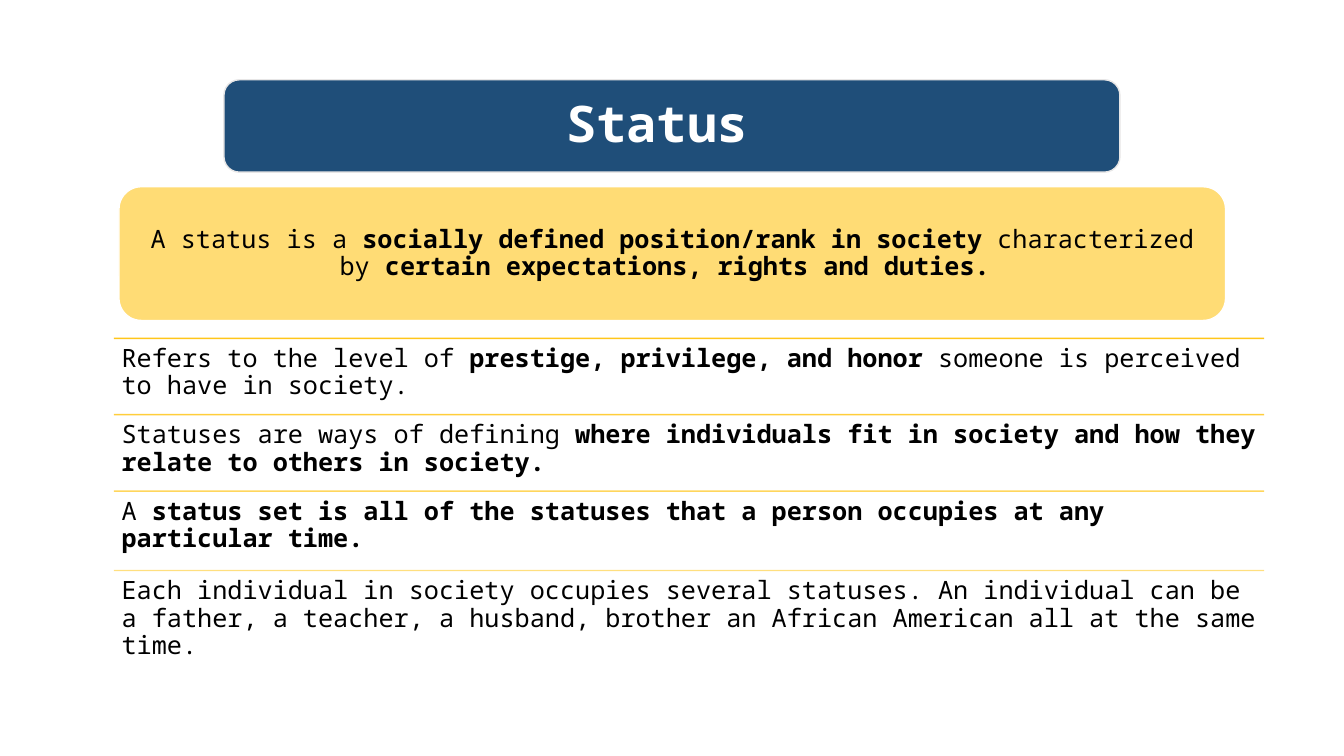
from lxml.etree import SubElement
from pptx import Presentation
from pptx.dml.color import RGBColor
from pptx.enum.shapes import MSO_CONNECTOR, MSO_SHAPE
from pptx.enum.text import MSO_ANCHOR, MSO_AUTO_SIZE, PP_ALIGN
from pptx.oxml.ns import qn
from pptx.util import Pt

COLORS = {
    "banner": "1F4E79",
    "banner line": "E7E6E6",
    "panel": "FFD966",
    "rule": "FFC000",
    "white": "FFFFFF",
    "black": "000000",
}
DEFINITION = [
    ("A status is a ", False),
    ("socially defined position/rank in society ", True),
    ("characterized by ", False),
    ("certain expectations, rights and duties. ", True),
]
ROWS = [
    (241.7, 90, [
        ("Refers to the level of ", False),
        ("prestige, privilege, and honor", True),
        (" someone is perceived to have in society.", False),
    ]),
    (296.2, 77, [
        ("Statuses are ways of defining ", False),
        ("where individuals fit in society and how they relate to others in society.", True),
    ]),
    (350.8, 63, [
        ("A ", False),
        ("status set is all of the statuses that a person occupies at any particular time.", True),
    ]),
    (407.5, 50, [
        ("Each individual in society occupies several statuses. An individual can be a father, "
         "a teacher, a husband, brother an African American all at the same time.", False),
    ]),
]
ROW_LEFT, ROW_WIDTH, ROW_HEIGHT = 81.4, 821.5, 54.7


def set_opacity(shape, percent):
    color = next(shape.element.spPr.iter(qn("a:srgbClr")))
    SubElement(color, qn("a:alpha")).set("val", str(percent * 1000))


def write_text(shape, runs, size, color, inset, alignment, anchor):
    frame = shape.text_frame
    frame.word_wrap = True
    frame.auto_size = MSO_AUTO_SIZE.NONE
    frame.vertical_anchor = anchor
    frame.margin_left = frame.margin_right = Pt(inset)
    frame.margin_top = frame.margin_bottom = Pt(inset)
    paragraph = frame.paragraphs[0]
    paragraph.alignment = alignment
    paragraph.line_spacing = 0.9
    for text, bold in runs:
        run = paragraph.add_run()
        run.text = text
        run.font.name = "Noto Sans Mono"
        run.font.size = Pt(size)
        run.font.bold = bold
        run.font.color.rgb = RGBColor.from_string(COLORS[color])


presentation = Presentation()
presentation.slide_width = Pt(960)
presentation.slide_height = Pt(540)
slide = presentation.slides.add_slide(presentation.slide_layouts[5])
shapes = slide.shapes

for top, opacity, runs in ROWS:
    rule = shapes.add_connector(
        MSO_CONNECTOR.STRAIGHT, Pt(ROW_LEFT), Pt(top), Pt(ROW_LEFT + ROW_WIDTH), Pt(top))
    rule.line.width = Pt(1)
    rule.line.color.rgb = RGBColor.from_string(COLORS["rule"])
    set_opacity(rule, opacity)
    SubElement(rule.element.spPr, qn("a:effectLst"))
    box = shapes.add_textbox(Pt(ROW_LEFT), Pt(top), Pt(ROW_WIDTH), Pt(ROW_HEIGHT))
    write_text(box, runs, 18, "black", 5.4, PP_ALIGN.LEFT, MSO_ANCHOR.TOP)

panels = []
for left, top, width, height, fill, line in [
    (160, 57, 640, 66, "banner", "banner line"),
    (85, 133.4, 790.4, 95.5, "panel", "white"),
]:
    panel = shapes.add_shape(
        MSO_SHAPE.ROUNDED_RECTANGLE, Pt(left), Pt(top), Pt(width), Pt(height))
    panel.shadow.inherit = False
    panel.fill.solid()
    panel.fill.fore_color.rgb = RGBColor.from_string(COLORS[fill])
    panel.line.color.rgb = RGBColor.from_string(COLORS[line])
    panel.line.width = Pt(1)
    panels.append(panel)
banner, definition = panels
set_opacity(definition, 90)
write_text(definition, DEFINITION, 18, "black", 10, PP_ALIGN.CENTER, MSO_ANCHOR.MIDDLE)

title = shapes.title
title.left, title.top, title.width, title.height = Pt(163.2), Pt(60), Pt(633.6), Pt(60)
write_text(title, [("Status ", True)], 36, "white", 10.8, PP_ALIGN.CENTER, MSO_ANCHOR.MIDDLE)
banner.element.addnext(title.element)

presentation.save("out.pptx")
